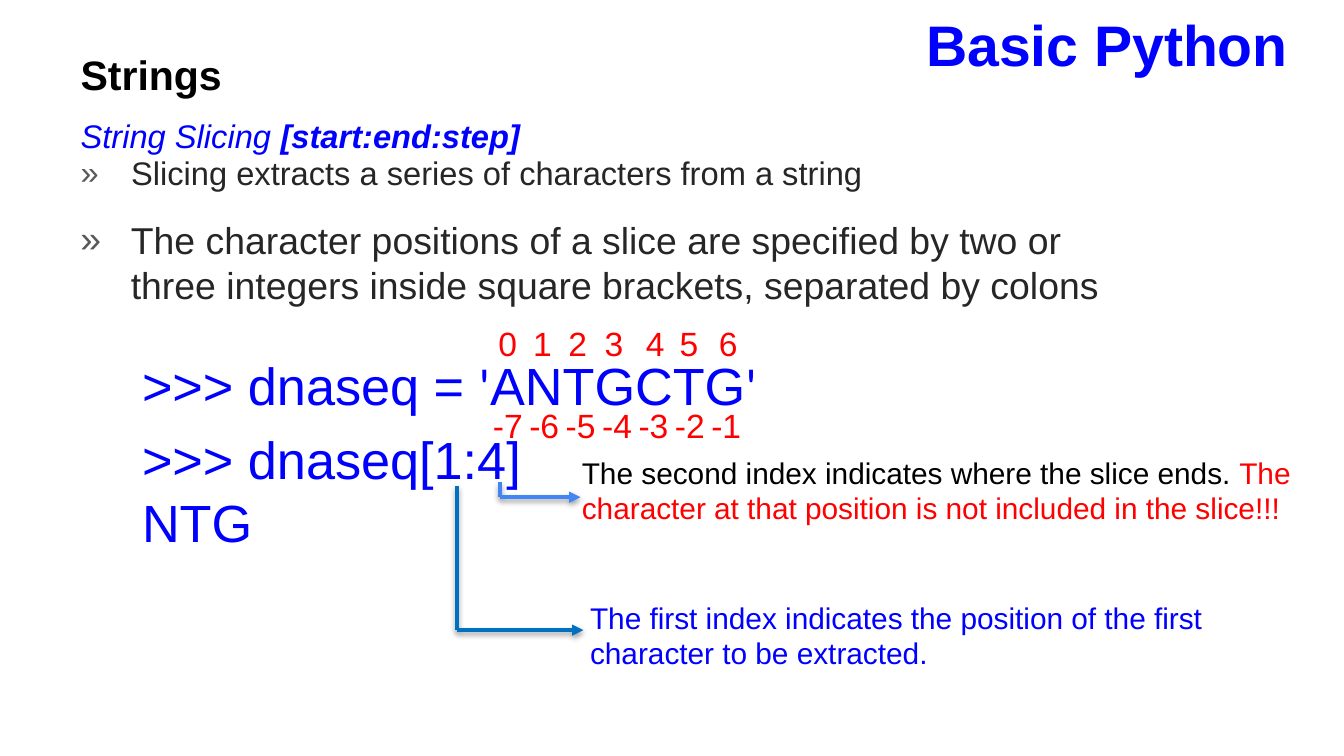
import pptx
import pptx.dml.color
import pptx.enum.dml
import pptx.enum.shapes
import pptx.enum.text
import pptx.oxml
import pptx.oxml.ns
import pptx.util

Pt = pptx.util.Pt
COLORS = {
    "blue": "0000FF", "red": "FF0000", "black": "000000", "text": "262626",
    "bullet": "595959", "end_arrow": "4285F4", "start_arrow": "0070C0",
}
NAMESPACE = pptx.oxml.ns.nsdecls("a")


def place(box, left, top, width, height):
    box.left, box.top, box.width, box.height = Pt(left), Pt(top), Pt(width), Pt(height)
    frame = box.text_frame
    frame.word_wrap = True
    frame.auto_size = pptx.enum.text.MSO_AUTO_SIZE.NONE
    frame.vertical_anchor = pptx.enum.text.MSO_ANCHOR.TOP
    return frame


def write(para, size, spans, margin=0, indent=0, bullet=None):
    properties = para._p.get_or_add_pPr()
    properties.set("marL", str(Pt(margin)))
    properties.set("indent", str(Pt(indent)))
    if bullet:
        marks = [
            f'<a:buClr {NAMESPACE}><a:srgbClr val="{COLORS["bullet"]}"/></a:buClr>',
            f'<a:buFont {NAMESPACE} typeface="Arial"/>',
            f'<a:buChar {NAMESPACE} char="{bullet}"/>',
        ]
    else:
        marks = [f"<a:buNone {NAMESPACE}/>"]
    for mark in marks:
        properties.append(pptx.oxml.parse_xml(mark))
    para.alignment = pptx.enum.text.PP_ALIGN.LEFT
    para.space_before = Pt(0)
    for text, color, style in spans:
        span = para.add_run()
        span.text = text
        span.font.size = Pt(size)
        span.font.name = "Calibri" if "calibri" in style else "Arial"
        span.font.bold = "bold" in style
        span.font.italic = "italic" in style
        span.font.color.rgb = pptx.dml.color.RGBColor.from_string(COLORS[color])


deck = pptx.Presentation()
deck.slide_width, deck.slide_height = Pt(720), Pt(405)
page = deck.slides.add_slide(deck.slide_layouts[3])
for spare in list(page.placeholders):
    if spare.placeholder_format.idx > 2:
        spare.element.getparent().remove(spare.element)

title = place(page.shapes.title, 488.9, 4.3, 228, 47)
write(title.paragraphs[0], 30.6, [("Basic Python", "blue", "bold")])
title.paragraphs[0].line_spacing = 0.95

topic = place(page.placeholders[1], 36, 18.7, 97, 37.5)
write(topic.paragraphs[0], 22, [("Strings", "black", "bold")])
topic.paragraphs[0].line_spacing = 1.15

slicing = place(page.placeholders[2], 36, 59.8, 508, 66)
write(slicing.paragraphs[0], 17.5, [
    ("String Slicing ", "blue", "italic"),
    ("[start:end:step]", "blue", "bold italic"),
])
write(slicing.add_paragraph(), 17.5, [
    ("Slicing extracts a series of characters from a string", "text", ""),
], 27, -27, "»")
for para in slicing.paragraphs:
    para.line_spacing = 0.95

positions = place(page.shapes.add_textbox(0, 0, 0, 0), 36, 113, 561, 55.5)
write(positions.paragraphs[0], 20, [
    ("The character positions of a slice are specified by two or three integers "
     "inside square brackets, separated by colons", "text", ""),
], 27, -27, "»")

code = place(page.shapes.add_textbox(0, 0, 0, 0), 26, 185.8, 464, 115)
write(code.paragraphs[0], 28, [
    (">>> dnaseq = ", "blue", ""),
    ("'", "blue", "calibri"),
    ("ANTGCTG", "blue", ""),
    ("'", "blue", "calibri"),
], 0, 43)
for line in [">>> dnaseq[1:4]", "NTG"]:
    write(code.add_paragraph(), 28, [(line, "blue", "")], 0, 43)
code.paragraphs[1].space_before = Pt(6)

for index, left in enumerate([260, 278.6, 297.4, 316.8, 339, 357, 378]):
    forward = place(page.shapes.add_textbox(0, 0, 0, 0), left, 169.2, 30, 29)
    write(forward.paragraphs[0], 18, [(str(index), "red", "")])
    backward = place(page.shapes.add_textbox(0, 0, 0, 0), 257 + 19.5 * index, 213.2, 39, 29)
    write(backward.paragraphs[0], 18, [(str(index - 7), "red", "")])

for color, left, top, corner, right in [
    ("end_arrow", 268, 258.5, 266.4, 311),
    ("start_arrow", 244.8, 260.6, 337.6, 312.5),
]:
    for start, end, arrow in [
        ((left, top), (left, corner), False),
        ((left, corner), (right, corner), True),
    ]:
        line = page.shapes.add_connector(
            pptx.enum.shapes.MSO_CONNECTOR.STRAIGHT, *map(Pt, start + end))
        line.line.width = Pt(2)
        line.line.color.rgb = pptx.dml.color.RGBColor.from_string(COLORS[color])
        if arrow:
            line.line._get_or_add_ln().append(
                pptx.oxml.parse_xml(f'<a:tailEnd {NAMESPACE} type="triangle"/>'))
        line._element.spPr.append(pptx.oxml.parse_xml(
            f'<a:effectLst {NAMESPACE}><a:outerShdw blurRad="{Pt(3.1)}" dist="{Pt(1.6)}" '
            f'dir="5400000" rotWithShape="0"><a:srgbClr val="{COLORS["black"]}">'
            '<a:alpha val="38000"/></a:srgbClr></a:outerShdw></a:effectLst>'))

second = place(page.shapes.add_textbox(0, 0, 0, 0), 304.6, 239.8, 398, 46)
write(second.paragraphs[0], 16, [
    ("The second index indicates where the slice ends. ", "black", ""),
    ("The character at that position is not included in the slice!!!", "red", ""),
])
first = place(page.shapes.add_textbox(0, 0, 0, 0), 309, 317.5, 350, 46)
write(first.paragraphs[0], 16, [
    ("The first index indicates the position of the first character to be extracted.",
     "blue", ""),
])

deck.save("out.pptx")
